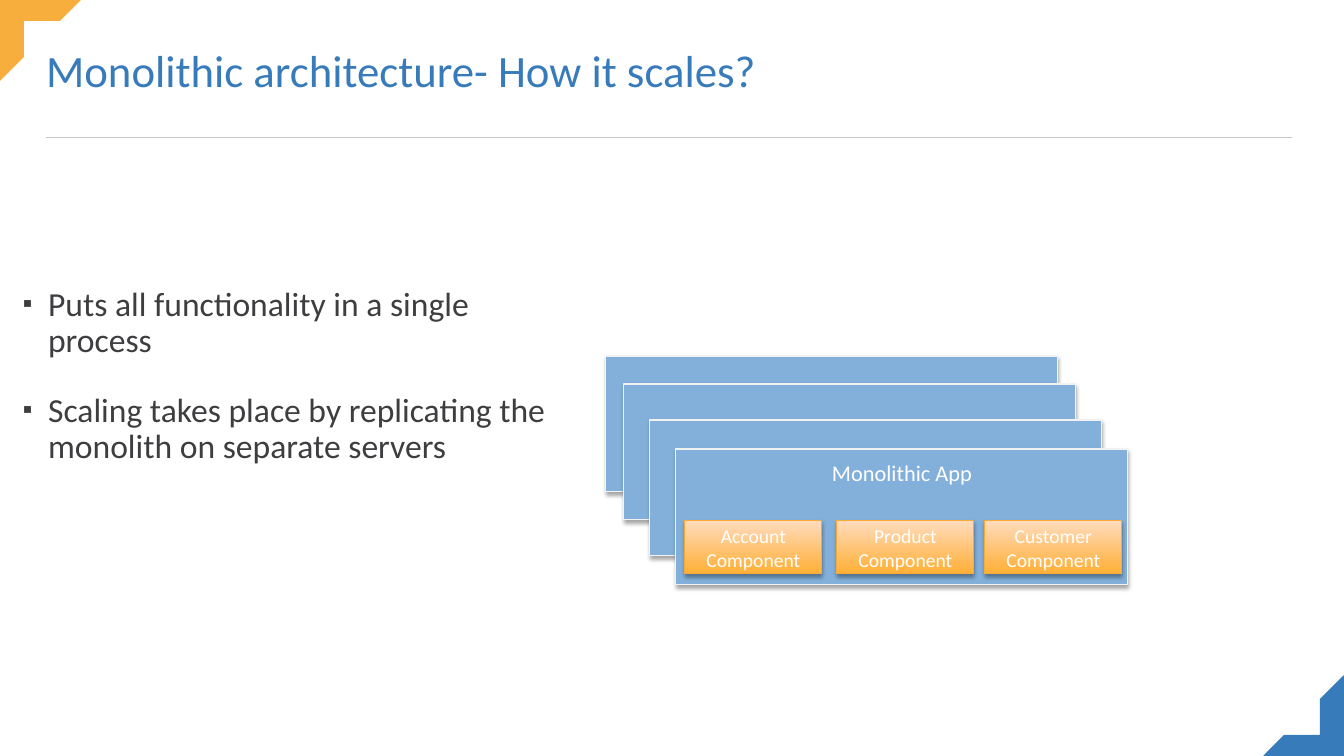
from dataclasses import dataclass

from lxml import etree
from pptx import Presentation
from pptx import util as u
from pptx.dml.color import RGBColor
from pptx.enum import shapes, text
from pptx.oxml.ns import qn

PX = 914400 / 100.8
WIDTH, HEIGHT = 1344, 756
FONT = "Calibri"
BLUE, ORANGE, WHITE, DARK = "387BBA", "F8AE3C", "FFFFFF", "3E3D40"
CARD_SIZE = (452, 136)
COMPONENT_SIZE = (137, 53)


@dataclass
class Box:
    x: int
    y: int
    w: int
    h: int
    label: str = ""


CARDS = [Box(x, y, *CARD_SIZE, label) for x, y, label in
         [(606, 356, ""), (624, 384, ""), (650, 420, ""), (676, 449, "Monolithic App")]]
COMPONENTS = [Box(x, 521, *COMPONENT_SIZE, f"{name}\nComponent") for x, name in
              [(685, "Account"), (837, "Product"), (985, "Customer")]]
BULLETS = [
    "Puts all functionality in a single process",
    "Scaling takes place by replicating the monolith on separate servers",
]
CORNER = [(0, 0), (81, 0), (60, 21), (24, 21), (24, 57), (0, 81)]


def px(n: float) -> int:
    return round(n * PX)


def rgb(value: str) -> RGBColor:
    return RGBColor.from_string(value)


def child(parent, tag: str, **attrs):
    return etree.SubElement(parent, qn(tag), {k: str(v) for k, v in attrs.items()})


def format_runs(tf, size: int, color: str) -> None:
    for p in tf.paragraphs:
        for r in p.runs:
            r.font.name, r.font.size = FONT, u.Pt(size)
            r.font.color.rgb = rgb(color)


def add_shadow(sp) -> None:
    sp.shadow.inherit = False
    effects = sp._element.spPr.find(qn("a:effectLst"))
    outer = child(effects, "a:outerShdw", blurRad=u.Pt(3.1), dist=u.Pt(1.8),
                  dir=90 * 60000, rotWithShape=0)
    child(child(outer, "a:srgbClr", val="000000"), "a:alpha", val=35000)


def add_box(s, box: Box, line: str, size: int):
    sp = s.shapes.add_shape(shapes.MSO_SHAPE.RECTANGLE,
                            px(box.x), px(box.y), px(box.w), px(box.h))
    sp.line.color.rgb = rgb(line)
    sp.line.width = u.Pt(0.75)
    add_shadow(sp)
    if box.label:
        tf = sp.text_frame
        tf.text = box.label
        tf.word_wrap = True
        tf.margin_top = tf.margin_bottom = 0
        tf.vertical_anchor = text.MSO_ANCHOR.MIDDLE
        for p in tf.paragraphs:
            p.alignment = text.PP_ALIGN.CENTER
        format_runs(tf, size, WHITE)
    return sp


def add_card(s, box: Box) -> None:
    sp = add_box(s, box, "F2F2F2", 16)
    sp.fill.solid()
    sp.fill.fore_color.rgb = rgb("83B0DA")
    if box.label:
        sp.text_frame.vertical_anchor = text.MSO_ANCHOR.TOP
        sp.text_frame.margin_top = px(10)


def add_component(s, box: Box) -> None:
    sp = add_box(s, box, "F7AB36", 14)
    sp.fill.gradient()
    sp.fill.gradient_angle = 90
    for stop, color in zip(sp.fill.gradient_stops, ("FFAF35", "FFDBBC")):
        stop.color.rgb = rgb(color)


def add_corner(s, points: list[tuple[int, int]], color: str) -> None:
    builder = s.shapes.build_freeform(*points[0], scale=PX)
    builder.add_line_segments(points[1:], close=True)
    sp = builder.convert_to_shape()
    sp.fill.solid()
    sp.fill.fore_color.rgb = rgb(color)
    sp.line.fill.background()
    sp.shadow.inherit = False


def add_rule(s) -> None:
    rule = s.shapes.add_connector(shapes.MSO_CONNECTOR.STRAIGHT,
                                  px(46), px(137), px(1292), px(137))
    rule.line.color.rgb = rgb("C6C6C7")
    rule.line.width = u.Pt(0.5)
    child(rule._element.spPr, "a:effectLst")


def set_title(s) -> None:
    title = s.shapes.title
    title.left, title.top, title.width, title.height = px(36), px(33), px(1272), px(86)
    tf = title.text_frame
    tf.text = "Monolithic architecture- How it scales?"
    tf.auto_size = text.MSO_AUTO_SIZE.NONE
    tf.vertical_anchor = text.MSO_ANCHOR.MIDDLE
    tf.paragraphs[0].alignment = text.PP_ALIGN.LEFT
    tf.paragraphs[0].line_spacing = 0.7
    format_runs(tf, 32, BLUE)


def add_bullets(s) -> None:
    tf = s.shapes.add_textbox(px(13), px(282), px(559), px(191)).text_frame
    tf.word_wrap = True
    tf.text = "\n".join(BULLETS)
    for i, p in enumerate(tf.paragraphs):
        p.line_spacing = 0.9
        p.space_before = u.Pt(24 if i else 0)
        pPr = p._p.get_or_add_pPr()
        pPr.set("marL", str(u.Inches(0.25)))
        pPr.set("indent", str(-u.Inches(0.25)))
        child(child(pPr, "a:buClr"), "a:srgbClr", val=DARK)
        child(pPr, "a:buSzPct", val=80000)
        child(pPr, "a:buFont", typeface=FONT)
        child(pPr, "a:buChar", char="▪")
    format_runs(tf, 24, DARK)


def main() -> None:
    prs = Presentation()
    prs.slide_width, prs.slide_height = px(WIDTH), px(HEIGHT)
    s = prs.slides.add_slide(prs.slide_layouts[5])
    add_rule(s)
    add_corner(s, CORNER, ORANGE)
    add_corner(s, [(WIDTH - x, HEIGHT - y) for x, y in CORNER], BLUE)
    set_title(s)
    add_bullets(s)
    for card in CARDS:
        add_card(s, card)
    for component in COMPONENTS:
        add_component(s, component)
    prs.save("out.pptx")


if __name__ == "__main__":
    main()
